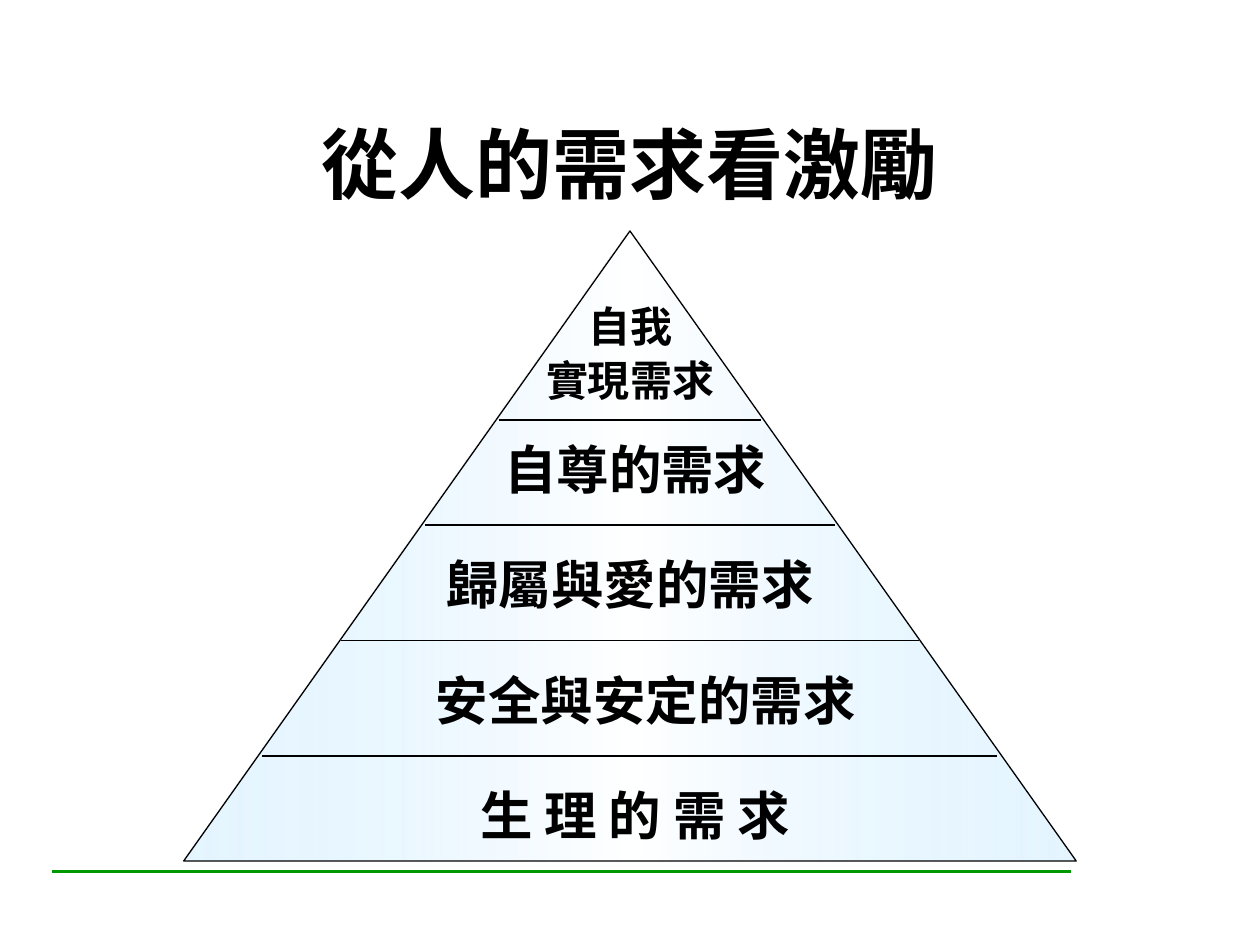
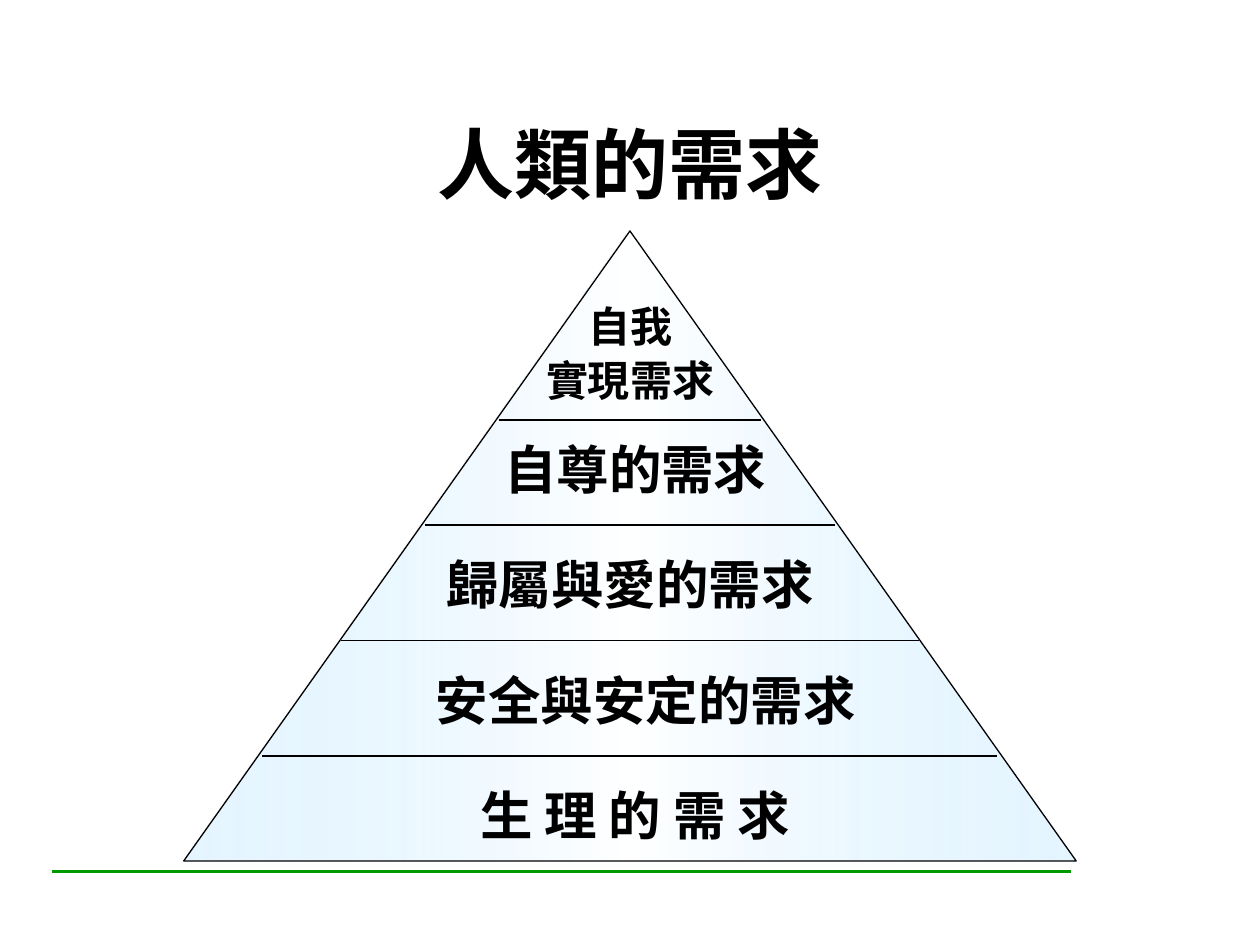
from lxml import etree
from pptx import Presentation
from pptx.dml.color import RGBColor
from pptx.enum.shapes import MSO_CONNECTOR, MSO_SHAPE
from pptx.enum.text import MSO_ANCHOR, MSO_AUTO_SIZE, PP_ALIGN
from pptx.oxml.ns import qn
from pptx.util import Pt

PX = 9525
FONT = "Noto Sans CJK SC"
INK = {"text": "000000", "edge": "000000", "rule": "009900",
       "tint": "CCECFF", "mid": "FFFFFF"}
LINE = MSO_CONNECTOR.STRAIGHT
PEAK = MSO_SHAPE.ISOSCELES_TRIANGLE
CENTER = PP_ALIGN.CENTER
TOP, MIDDLE = MSO_ANCHOR.TOP, MSO_ANCHOR.MIDDLE
FIXED, GROW = MSO_AUTO_SIZE.NONE, MSO_AUTO_SIZE.SHAPE_TO_FIT_TEXT

TITLES = ["從人的需求看激勵", "人類的需求"]
AXIS = 480
CUTS = [(320, 100), (400, 156), (488, 220), (576, 280)]
LABELS = [
    ("生 理 的 需 求", 324, 320),
    ("安全與安定的需求", 316, 352),
    ("歸屬與愛的需求", 324, 312),
    ("自尊的需求", 348, 272),
]
BASE, STEP = 592, 88


def write(frame, text, size=30, anchor=TOP, fit=GROW, gap=0, lead=None):
    frame.word_wrap = True
    frame.auto_size = fit
    frame.vertical_anchor = anchor
    for i, part in enumerate(text.split("\n")):
        para = frame.add_paragraph() if i else frame.paragraphs[0]
        para.alignment = CENTER
        para.space_before = Pt(gap if i else 0)
        if i and lead:
            para.line_spacing = lead
        run = para.add_run()
        run.text = part
        run.font.size = Pt(size)
        run.font.bold = True
        run.font.color.rgb = RGBColor.from_string(INK["text"])
        run.font.name = FONT
        etree.SubElement(run.font._element, qn("a:ea"), typeface=FONT)


def rule(shapes, left, right, y, color="edge", width=0.75):
    line = shapes.add_connector(LINE, left * PX, y * PX, right * PX, y * PX)
    line.line.color.rgb = RGBColor.from_string(INK[color])
    line.line.width = Pt(width)
    etree.SubElement(line.element.spPr, qn("a:effectLst"))
    return line


deck = Presentation()
deck.slide_width, deck.slide_height = 960 * PX, 720 * PX
layout = deck.slide_layouts[5]

for num, name in enumerate(TITLES):
    slide = deck.slides.add_slide(layout)
    if num == 0:
        foot = rule(slide.shapes, 40, 816, 664, color="rule", width=1.5)
        layout.shapes.element.append(foot.element)

    title = slide.shapes.title
    title.left, title.top, title.width, title.height = [
        n * PX for n in (78, 70, 804, 108)]
    write(title.text_frame, name, size=44, anchor=MIDDLE, fit=FIXED)

    group = slide.shapes.add_group_shape().shapes
    peak = group.add_shape(PEAK, 140 * PX, 176 * PX, 680 * PX, 480 * PX)
    peak.shadow.inherit = False
    peak.line.color.rgb = RGBColor.from_string(INK["edge"])
    peak.line.width = Pt(0.75)
    peak.fill.gradient()
    peak.fill.gradient_angle = 0
    stops = peak.element.spPr.find(qn("a:gradFill")).find(qn("a:gsLst"))
    for old in list(stops):
        stops.remove(old)
    for pos, tone, alpha in ((0, "tint", 50), (50, "mid", 100), (100, "tint", 50)):
        stop = etree.SubElement(stops, qn("a:gs"), pos=str(pos * 1000))
        color = etree.SubElement(stop, qn("a:srgbClr"), val=INK[tone])
        if alpha < 100:
            etree.SubElement(color, qn("a:alpha"), val=str(alpha * 1000))

    for y, half in CUTS:
        rule(group, AXIS - half, AXIS + half, y)

    for i, (text, left, width) in enumerate(LABELS):
        box = group.add_textbox(left * PX, (BASE - i * STEP) * PX, width * PX, 58 * PX)
        write(box.text_frame, text)
    box = group.add_textbox(396 * PX, 224 * PX, 168 * PX, 87 * PX)
    write(box.text_frame, "自我\n實現需求", size=24, gap=15, lead=0.5)

deck.save("out.pptx")
